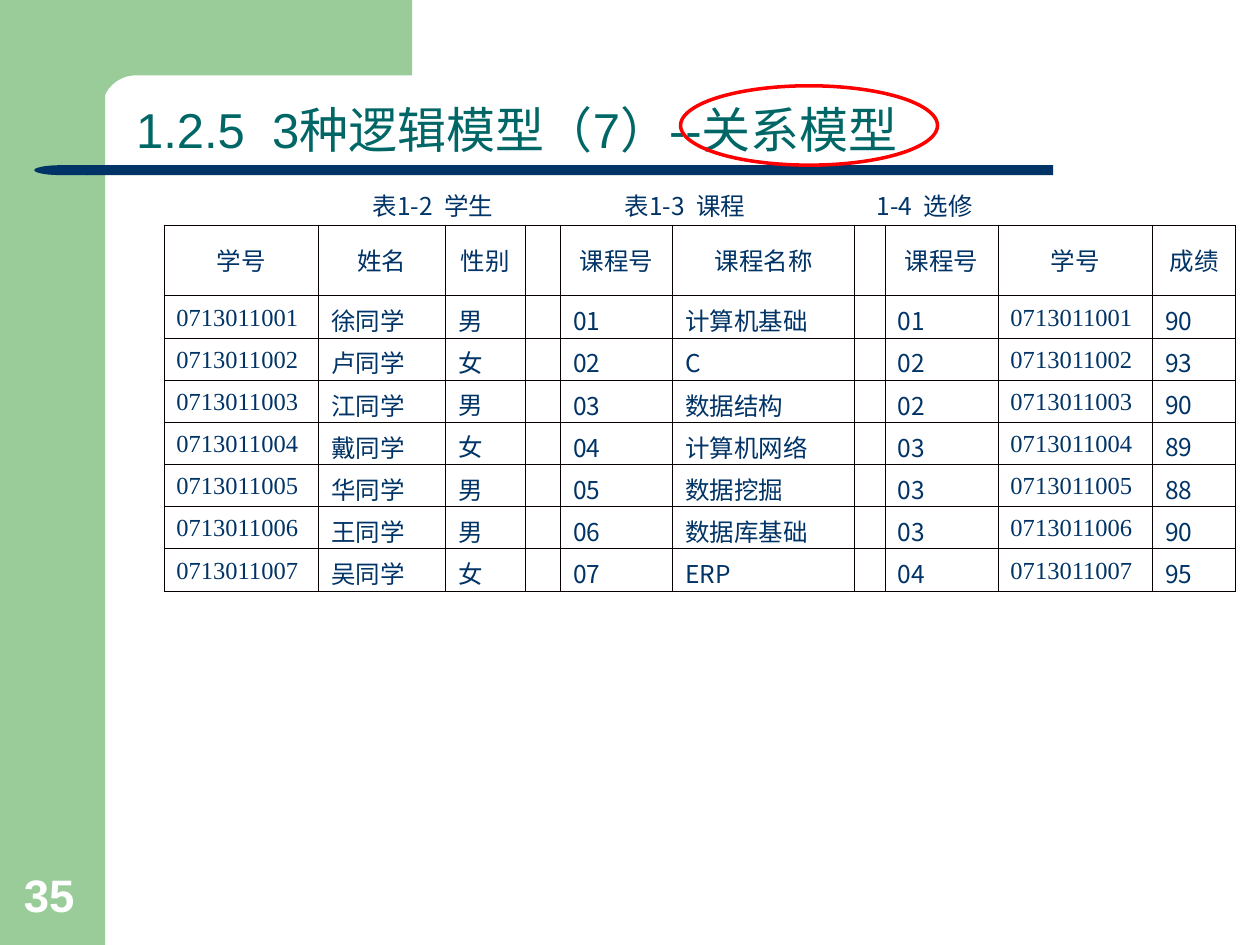
from math import cos, pi, sin

from lxml.etree import SubElement
from pptx import Presentation
from pptx.dml.color import RGBColor
from pptx.enum.shapes import MSO_SHAPE as Shape
from pptx.enum.text import MSO_ANCHOR as Anchor, MSO_AUTO_SIZE as AutoSize, PP_ALIGN as Align
from pptx.oxml.ns import qn
from pptx.util import Cm, Pt

GREEN = RGBColor(0x99, 0xCC, 0x99)
NAVY = RGBColor(0x00, 0x33, 0x66)
TEAL = RGBColor(0x00, 0x66, 0x66)
RED = RGBColor(0xFF, 0x00, 0x00)
WHITE = RGBColor(0xFF, 0xFF, 0xFF)
BORDER = RGBColor(0x08, 0x00, 0x00)

SANS, SERIF, CHINESE = "Arial", "Times New Roman", "Noto Sans CJK SC"

HEADER = ["学号", "姓名", "性别", "", "课程号", "课程名称", "", "课程号", "学号", "成绩"]
STUDENTS = [("徐同学", "男"), ("卢同学", "女"), ("江同学", "男"), ("戴同学", "女"),
            ("华同学", "男"), ("王同学", "男"), ("吴同学", "女")]
COURSES = ["计算机基础", "C", "数据结构", "计算机网络", "数据挖掘", "数据库基础", "ERP"]
GRADES = [("01", "90"), ("02", "93"), ("02", "90"), ("03", "89"),
          ("03", "88"), ("03", "90"), ("04", "95")]
COLUMN_WIDTHS = [3.12, 2.56, 1.61, 0.71, 2.26, 3.67, 0.6, 2.28, 3.12, 1.67]
ID_COLUMNS = (0, 8)
CENTRED_COLUMNS = (2, 9)


class SlideBuilder:
    """Holds the text style and the current slide."""

    def __init__(self, page, size=14, color=NAVY):
        self.page, self.size, self.color = page, size, color

    def style(self, para, font=CHINESE, size=None, color=None, bold=False):
        for span in para.runs:
            span.font.name = font
            span.font.size = Pt(size or self.size)
            span.font.bold = bold
            span.font.color.rgb = color or self.color
            SubElement(span.font._element, qn("a:ea"), typeface=CHINESE)

    def title(self, text, left, top, width, height):
        box = self.page.shapes.title
        box.left, box.top, box.width, box.height = map(Cm, (left, top, width, height))
        frame = box.text_frame
        frame.text = text
        frame.auto_size = AutoSize.NONE
        frame.vertical_anchor = Anchor.BOTTOM
        para = frame.paragraphs[0]
        para.alignment = Align.LEFT
        para.line_spacing = 0.9
        para.space_before = Pt(0)
        self.style(para, SANS, 28, TEAL)

    def shape(self, kind, left, top, width, height, fill=None, line=None):
        item = self.page.shapes.add_shape(kind, *map(Cm, (left, top, width, height)))
        self.paint(item, fill, line)
        return item

    def outline(self, points, fill):
        points = [(Cm(x), Cm(y)) for x, y in points]
        builder = self.page.shapes.build_freeform(*points[0])
        builder.add_line_segments(points[1:], close=True)
        self.paint(builder.convert_to_shape(), fill)

    def paint(self, item, fill=None, line=None):
        item.shadow.inherit = False
        if fill is None:
            item.fill.background()
        else:
            item.fill.solid()
            item.fill.fore_color.rgb = fill
        if line is None:
            item.line.fill.background()
        else:
            item.line.color.rgb = line
            item.line.width = Pt(2)

    def text(self, text, left, top, width, height, align=Align.LEFT,
             anchor=Anchor.TOP, tabs=(), **style):
        frame = self.page.shapes.add_textbox(*map(Cm, (left, top, width, height))).text_frame
        frame.word_wrap = True
        frame.vertical_anchor = anchor
        para = frame.paragraphs[0]
        para.text = text
        para.alignment = align
        if tabs:
            stops = SubElement(para._p.get_or_add_pPr(), qn("a:tabLst"))
            for position in tabs:
                SubElement(stops, qn("a:tab"), pos=str(Cm(position)), algn="l")
        self.style(para, **style)

    def table(self, rows, left, top, widths, header_height, row_height):
        height = header_height + row_height * (len(rows) - 1)
        table = self.page.shapes.add_table(
            len(rows), len(widths), *map(Cm, (left, top, sum(widths), height))).table
        table.first_row = table.horz_banding = False
        for column, width in zip(table.columns, widths):
            column.width = Cm(width)
        for r, values in enumerate(rows):
            table.rows[r].height = Cm(row_height if r else header_height)
            for c, value in enumerate(values):
                self.cell(table.cell(r, c), value, r == 0, c)

    def cell(self, cell, value, is_header, column):
        is_id = column in ID_COLUMNS and not is_header
        para = cell.text_frame.paragraphs[0]
        if value:
            para.text = value
            self.style(para, SERIF if is_id else CHINESE)
        else:
            para._p.get_or_add_endParaRPr().set("sz", str(self.size * 100))
        para.alignment = Align.CENTER if is_header else Align.LEFT
        middle = is_header or column in CENTRED_COLUMNS
        cell.vertical_anchor = Anchor.MIDDLE if middle else Anchor.BOTTOM
        cell.margin_top = Cm(0 if is_header else 0.12)
        cell.margin_bottom = Cm(0.13 if is_id else 0)
        properties = cell._tc.get_or_add_tcPr()
        for side in ("a:lnL", "a:lnR", "a:lnT", "a:lnB"):
            line = SubElement(properties, qn(side), w=str(Pt(0.25)))
            fill = SubElement(line, qn("a:solidFill"))
            SubElement(fill, qn("a:srgbClr"), val=str(BORDER))
        cell.fill.background()


def main():
    deck = Presentation()
    deck.slide_width, deck.slide_height = Cm(25.4), Cm(19.05)
    page = deck.slides.add_slide(deck.slide_layouts[5])
    slide = SlideBuilder(page)

    # Green side band and top corner with a rounded inner edge
    slide.shape(Shape.RECTANGLE, 0, 0, 2.12, 19.05, GREEN)
    radius, steps = 0.69, 12
    angles = [pi / 2 * step / steps for step in range(steps + 1)]
    curve = [(2.74 - radius * sin(a), 2.21 - radius * cos(a)) for a in angles]
    slide.outline([(1.27, 0), (8.31, 0), (8.31, 1.52), *curve, (2.05, 2.31), (1.27, 2.31)], GREEN)

    # Rule under the title, with a rounded left end
    slide.shape(Shape.RECTANGLE, 1.75, 3.33, 19.48, 0.2, NAVY)
    slide.shape(Shape.FLOWCHART_DELAY, 0.69, 3.33, 1.08, 0.2, NAVY).rotation = 180

    # Table captions
    slide.text("表1-2  学生\t表1-3  课程\t1-4  选修", 6.5, 3.73, 14.12, 0.86,
               align=Align.CENTER, tabs=(5.08, 10.16))

    # Three relations side by side
    rows = [HEADER]
    for number, (student, course, grade) in enumerate(zip(STUDENTS, COURSES, GRADES), 1):
        student_id = f"0713011{number:03}"
        rows.append([student_id, *student, "", f"{number:02}", course, "",
                     grade[0], student_id, grade[1]])
    slide.table(rows, 3.3, 4.53, COLUMN_WIDTHS, 1.43, 0.85)

    # Title with its highlighted ending
    slide.title("1.2.5  3种逻辑模型（7）--关系模型", 2.49, 1.73, 21, 1.6)
    slide.shape(Shape.OVAL, 13.72, 1.73, 5.18, 1.6, line=RED)

    # Page number
    slide.text("35", 0.23, 17.35, 1.63, 1.35, anchor=Anchor.BOTTOM,
               font=SANS, size=26, color=WHITE, bold=True)

    deck.save("out.pptx")


if __name__ == "__main__":
    main()
